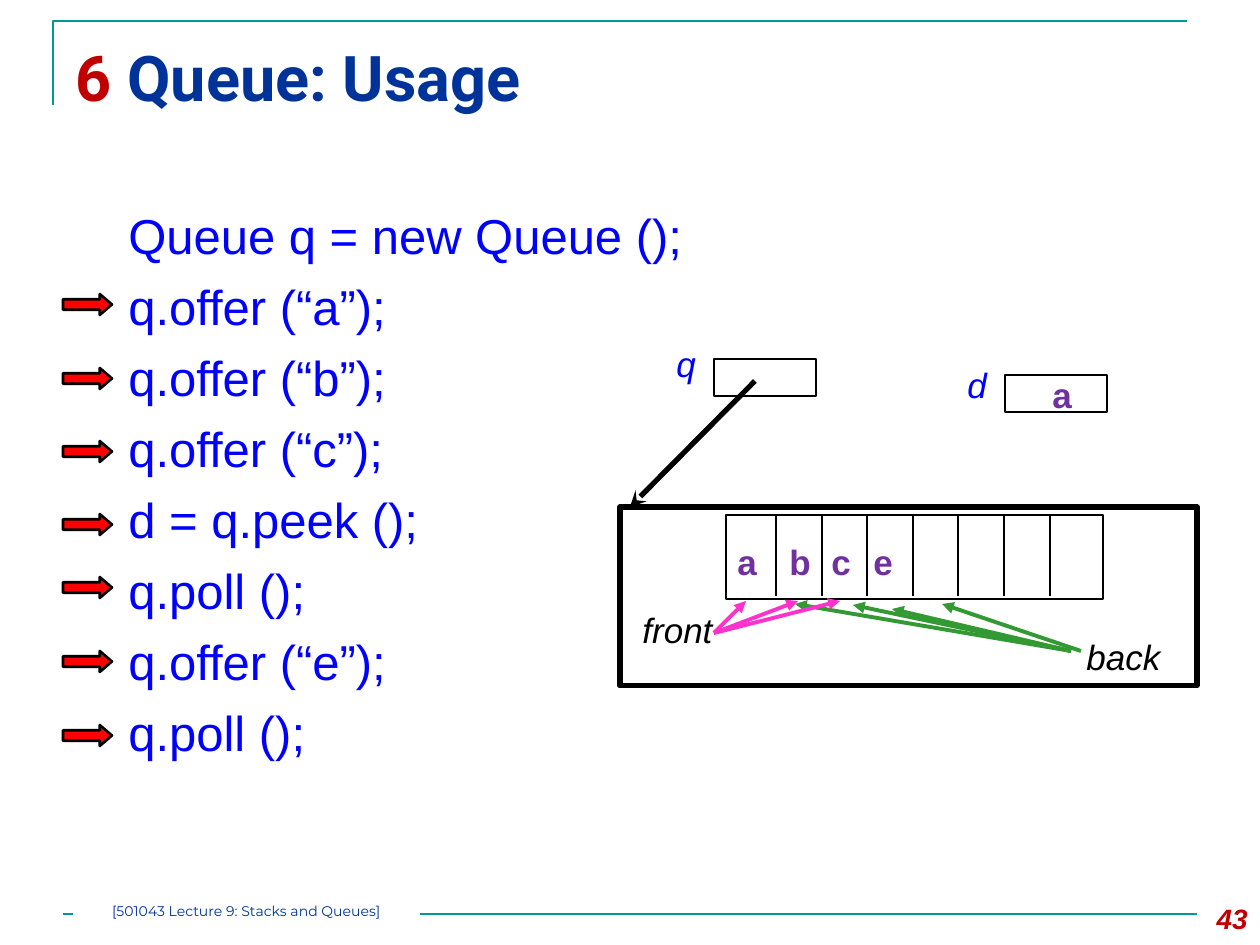
from lxml.etree import SubElement
from pptx import Presentation
from pptx.dml.color import RGBColor
from pptx.enum.shapes import MSO_CONNECTOR as Connector, MSO_SHAPE as Shape
from pptx.enum.text import MSO_ANCHOR as Anchor, MSO_AUTO_SIZE as AutoSize, PP_ALIGN as Align
from pptx.oxml.ns import qn
from pptx.util import Emu, Inches, Pt

TEAL = RGBColor(0x00, 0x99, 0x99)
NAVY = RGBColor(0x00, 0x33, 0x99)
CRIMSON = RGBColor(0xC0, 0x00, 0x00)
RED = RGBColor(0xFF, 0x00, 0x00)
BLUE = RGBColor(0x00, 0x00, 0xFF)
PURPLE = RGBColor(0x70, 0x30, 0xA0)
PINK = RGBColor(0xFF, 0x33, 0xCC)
GREEN = RGBColor(0x33, 0x99, 0x33)
BLACK = RGBColor(0x00, 0x00, 0x00)
WHITE = RGBColor(0xFF, 0xFF, 0xFF)

CODE = [
    "Queue q = new Queue ();",
    "q.offer (“a”);",
    "q.offer (“b”);",
    "q.offer (“c”);",
    "d = q.peek ();",
    "q.poll ();",
    "q.offer (“e”);",
    "q.poll ();",
]


def px(length):
    return Emu(round(length * 914400 / 126))


def place(*lengths):
    return [px(length) for length in lengths]


def add_span(para, text, size, color, font="Arial", bold=False, italic=False):
    span = para.add_run()
    span.text = text
    span.font.name = font
    span.font.size = Pt(size)
    span.font.bold = bold
    span.font.italic = italic
    span.font.color.rgb = color


def add_text(page, lines, at, size=20, color=BLACK, align=Align.LEFT,
             gap=0, indent=0, **style):
    box = page.shapes.add_textbox(*place(*at))
    frame = box.text_frame
    frame.word_wrap = True
    for index, line in enumerate(lines):
        para = frame.paragraphs[0] if index == 0 else frame.add_paragraph()
        para.alignment = align
        if indent:
            properties = para._p.get_or_add_pPr()
            properties.set("marL", str(px(indent)))
            properties.set("indent", str(-px(indent)))
        if index:
            para.space_before = Pt(gap)
        add_span(para, line, size, color, **style)
    return box


def add_box(page, at, kind=Shape.RECTANGLE, fill=WHITE, line=BLACK, width=1.5):
    box = page.shapes.add_shape(kind, *place(*at))
    box.shadow.inherit = False
    box.fill.solid()
    box.fill.fore_color.rgb = fill
    box.line.color.rgb = line
    box.line.width = Pt(width)
    return box


def add_line(page, start, end, color=BLACK, width=1.5, head=None):
    line = page.shapes.add_connector(Connector.STRAIGHT, *place(*start, *end))
    line.line.color.rgb = color
    line.line.width = Pt(width)
    if head:
        SubElement(line.line._get_or_add_ln(), qn("a:tailEnd"), type=head)
    SubElement(line._element.spPr, qn("a:effectLst"))


def add_frame(page):
    # Corner rule, footer rule, footer label and page number
    builder = page.shapes.build_freeform(px(53), px(105))
    builder.add_line_segments([place(53, 21), place(1187, 21)], close=False)
    corner = builder.convert_to_shape()
    corner.shadow.inherit = False
    corner.fill.background()
    corner.line.color.rgb = TEAL
    corner.line.width = Pt(1.5)

    add_line(page, (63, 914), (1197, 914), TEAL)
    footer = add_text(page, ["[501043 Lecture 9: Stacks and Queues]"], (73, 903, 347, 21),
                      size=8, color=NAVY, align=Align.CENTER, font="Montserrat")
    footer.fill.solid()
    footer.fill.fore_color.rgb = WHITE
    frame = footer.text_frame
    frame.margin_left = frame.margin_right = frame.margin_top = frame.margin_bottom = 0
    add_text(page, ["43"], (1176, 895, 84, 50), size=16, color=CRIMSON,
             align=Align.RIGHT, bold=True, italic=True)


def add_title(page):
    title = page.shapes.title
    title.left, title.top, title.width, title.height = place(63, 32, 1134, 108)
    frame = title.text_frame
    frame.auto_size = AutoSize.NONE
    frame.vertical_anchor = Anchor.TOP
    para = frame.paragraphs[0]
    para.alignment = Align.LEFT
    add_span(para, "6 ", 36, CRIMSON, font="Roboto", bold=True)
    add_span(para, "Queue: Usage", 36, NAVY, font="Roboto", bold=True)


def add_code(page):
    add_text(page, CODE, (116, 199, 599, 588), size=28, color=BLUE, gap=7, indent=48)
    for top in (294, 368, 441, 514, 577, 651, 725):
        arrow = add_box(page, (63, top, 49, 21), Shape.RIGHT_ARROW, fill=RED)
        arrow.adjustments[1] = 0.58


def add_variables(page):
    for name, label_at, box_at in (
        ("q", (664, 336, 45, 54), (714, 359, 102, 37)),
        ("d", (955, 357, 45, 54), (1005, 375, 102, 37)),
    ):
        add_text(page, [name], label_at, color=BLUE, italic=True)
        add_box(page, box_at)
    add_text(page, ["a"], (1040, 367, 45, 54), color=PURPLE, bold=True)


def add_queue(page):
    # Queue object, its array and the reference to it
    add_box(page, (620, 507, 577, 179), width=3)
    add_box(page, (726, 515, 377, 84))
    for index in range(7):
        x = 776 + round(index * 45.6)
        add_line(page, (x, 515), (x, 596))
    add_line(page, (755, 381), (630, 507), width=3, head="stealth")
    for letter, left, width in (("a", 725, 45), ("b", 777, 32), ("c", 819, 38), ("e", 861, 42)):
        add_text(page, [letter], (left, 534, width, 54), color=PURPLE, bold=True)

    # Front and back markers as they move
    add_text(page, ["front"], (630, 602, 131, 66), italic=True)
    add_text(page, ["back"], (1074, 629, 131, 66), italic=True)
    for start, end, color in (
        ((714, 633), (746, 601), PINK),
        ((1071, 651), (795, 604), GREEN),
        ((1071, 651), (853, 605), GREEN),
        ((1071, 651), (892, 609), GREEN),
        ((714, 633), (798, 601), PINK),
        ((1081, 651), (942, 604), GREEN),
        ((714, 633), (840, 601), PINK),
    ):
        add_line(page, start, end, color, 2.25, "triangle")


def main():
    deck = Presentation()
    deck.slide_width, deck.slide_height = Inches(10), Inches(7.5)
    page = deck.slides.add_slide(deck.slide_layouts[5])
    add_frame(page)
    add_title(page)
    add_code(page)
    add_variables(page)
    add_queue(page)
    deck.save("out.pptx")


if __name__ == "__main__":
    main()
